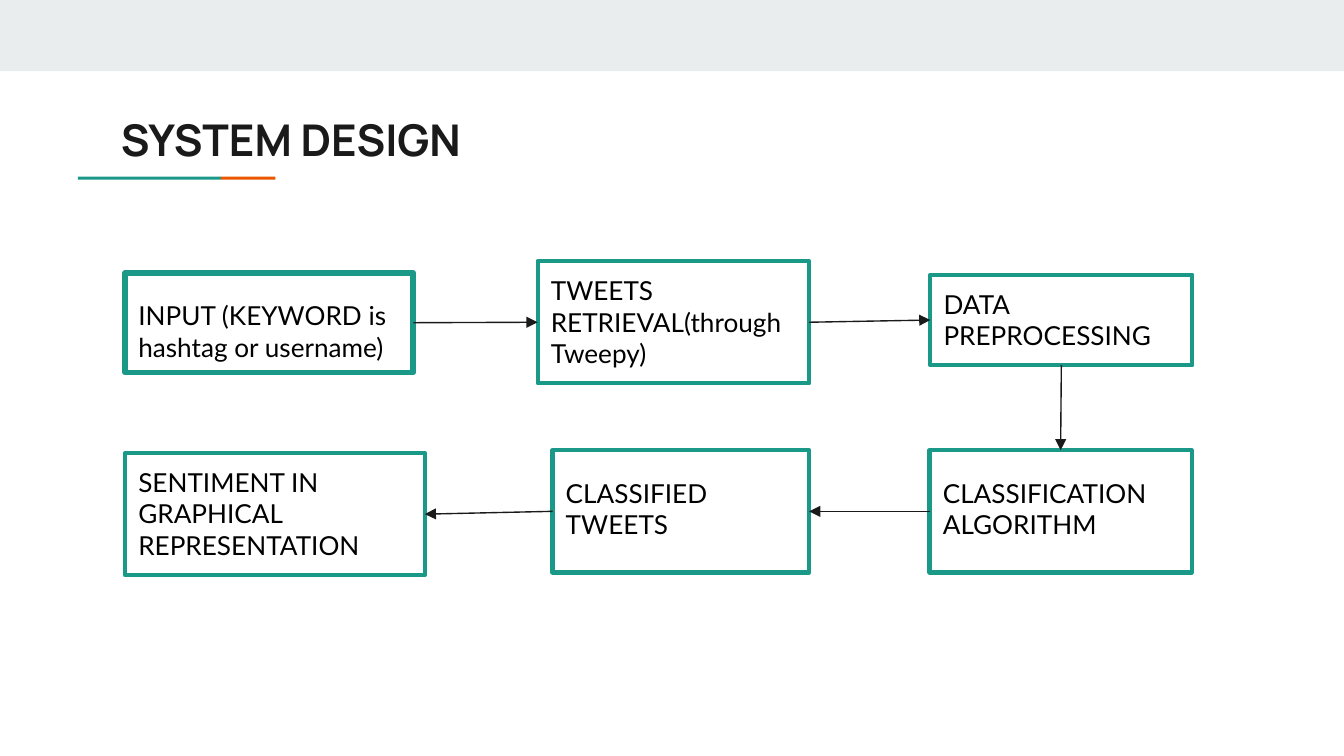
"""Build the system design slide: a six-step flow joined by arrows."""
from lxml import etree
from pptx import Presentation
from pptx.dml.color import RGBColor
from pptx.enum.shapes import MSO_CONNECTOR, MSO_SHAPE
from pptx.enum.text import MSO_ANCHOR, PP_ALIGN
from pptx.oxml.ns import qn
from pptx.util import Pt

RECTANGLE = MSO_SHAPE.RECTANGLE
STRAIGHT = MSO_CONNECTOR.STRAIGHT
TOP, MIDDLE = MSO_ANCHOR.TOP, MSO_ANCHOR.MIDDLE
LEFT = PP_ALIGN.LEFT
TOP_SIDE, LEFT_SIDE, BOTTOM_SIDE, RIGHT_SIDE = range(4)
TEAL, ORANGE, INK, GREY = "1A9988", "EB5600", "1A1A1A", "E9EDEE"


def color(value):
    return RGBColor.from_string(value)


def write(shape, text, font="Lato", size=14, fill="000000", bold=False, anchor=TOP, inset=7.2):
    frame = shape.text_frame
    frame.word_wrap = True
    frame.vertical_anchor = anchor
    frame.margin_left = frame.margin_right = frame.margin_bottom = Pt(7.2)
    frame.margin_top = Pt(inset)
    paragraph = frame.paragraphs[0]
    paragraph.alignment = LEFT
    run = paragraph.add_run()
    run.text = text
    run.font.name = font
    run.font.size = Pt(size)
    run.font.bold = bold
    run.font.color.rgb = color(fill)


presentation = Presentation()
presentation.slide_width, presentation.slide_height = Pt(720), Pt(405)
slide = presentation.slides.add_slide(presentation.slide_layouts[5])
shapes = slide.shapes

bars = [
    (0, 0, 720, 38.2, GREY),
    (41.8, 94.7, 76.6, 1.6, TEAL),
    (118.4, 94.7, 29.2, 1.6, ORANGE),
]
for left, top, width, height, fill in bars:
    bar = shapes.add_shape(RECTANGLE, Pt(left), Pt(top), Pt(width), Pt(height))
    bar.shadow.inherit = False
    bar.fill.solid()
    bar.fill.fore_color.rgb = color(fill)
    bar.line.fill.background()

title = shapes.title
title.left, title.top, title.width, title.height = Pt(57.6), Pt(53.3), Pt(605.5), Pt(42.5)
write(title, "SYSTEM DESIGN", font="Manrope", size=23.4, fill=INK, bold=True, anchor=MIDDLE)

steps = [
    ("INPUT (KEYWORD is hashtag or username)", 67, 146.2, 154.4, 53.4, 3, 14.4),
    ("TWEETS RETRIEVAL(through Tweepy)", 288, 139.9, 145.5, 65.5, 2.25, 7.2),
    ("DATA PREPROCESSING", 498.4, 147.2, 140.4, 48.5, 2.25, 7.2),
    ("CLASSIFICATION ALGORITHM", 498, 241.2, 140.4, 65.5, 2.25, 14.4),
    ("CLASSIFIED TWEETS", 296, 241.2, 137.5, 65.5, 2.25, 14.4),
    ("SENTIMENT IN GRAPHICAL REPRESENTATION", 67, 242.7, 160.6, 65.5, 2.25, 7.2),
]
boxes = []
for text, left, top, width, height, weight, inset in steps:
    box = shapes.add_shape(RECTANGLE, Pt(left), Pt(top), Pt(width), Pt(height))
    box.shadow.inherit = False
    box.fill.background()
    box.line.color.rgb = color(TEAL)
    box.line.width = Pt(weight)
    write(box, text, inset=inset)
    boxes.append(box)

sides = [
    (RIGHT_SIDE, LEFT_SIDE),
    (RIGHT_SIDE, LEFT_SIDE),
    (BOTTOM_SIDE, TOP_SIDE),
    (LEFT_SIDE, RIGHT_SIDE),
    (LEFT_SIDE, RIGHT_SIDE),
]
for source, target, (start, end) in zip(boxes, boxes[1:], sides):
    arrow = shapes.add_connector(STRAIGHT, Pt(0), Pt(0), Pt(0), Pt(0))
    arrow.begin_connect(source, start)
    arrow.end_connect(target, end)
    arrow.line.color.rgb = color(INK)
    arrow.line.width = Pt(0.75)
    etree.SubElement(arrow.line._get_or_add_ln(), qn("a:tailEnd"), type="triangle")
    etree.SubElement(arrow._element.spPr, qn("a:effectLst"))

presentation.save("out.pptx")
